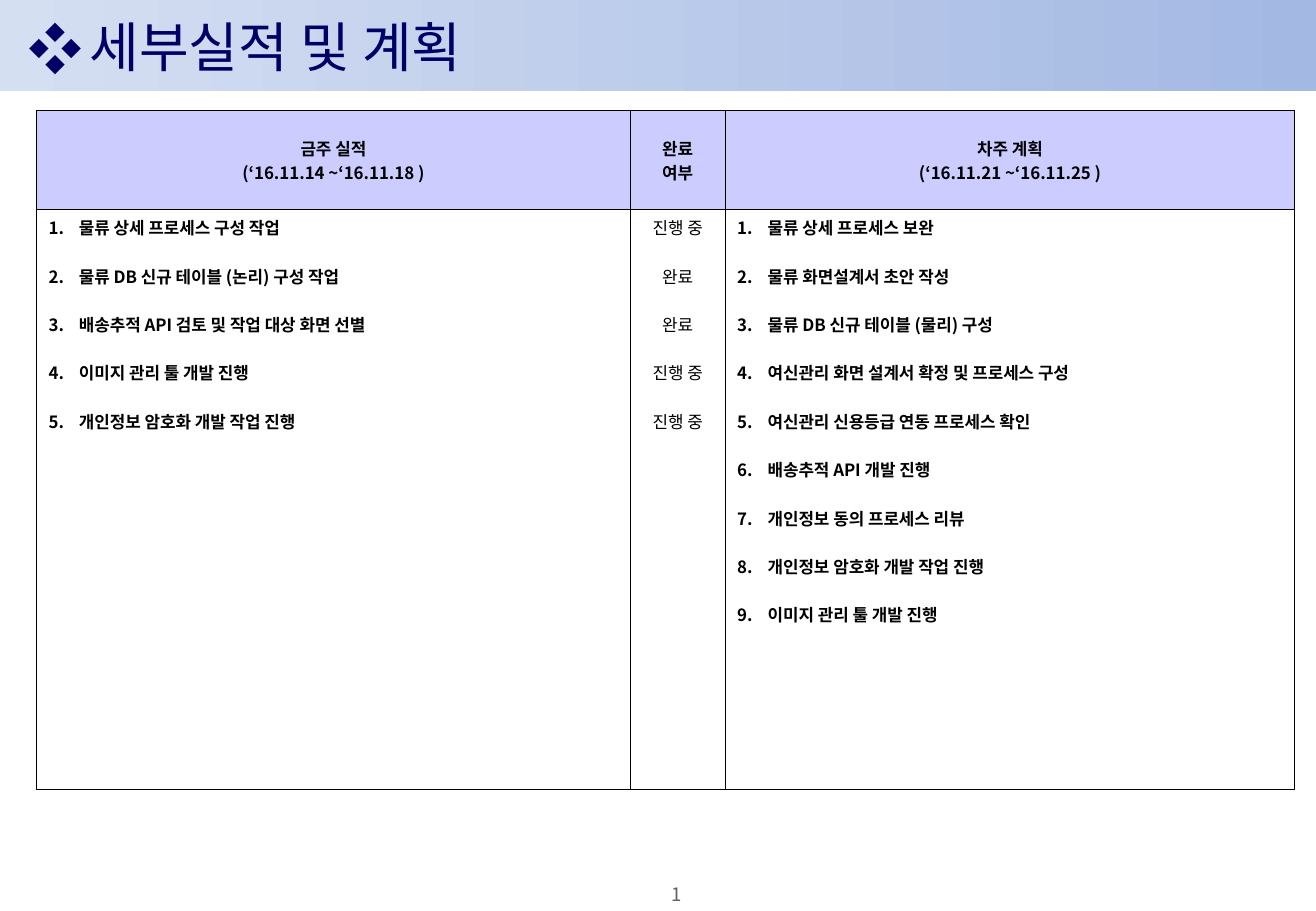
from dataclasses import dataclass

from lxml.etree import SubElement
from pptx import Presentation
from pptx.dml.color import RGBColor
from pptx.enum.shapes import MSO_SHAPE
from pptx.enum.text import MSO_ANCHOR, PP_ALIGN
from pptx.oxml.ns import qn
from pptx.util import Pt


@dataclass(frozen=True)
class Theme:
    font: str = "Noto Sans CJK KR"
    band_start: str = "D5DFF2"
    band_end: str = "A3B8E3"
    title: str = "000066"
    header: str = "CCCCFF"
    text: str = "000000"
    border: str = "000000"
    footer: str = "5F5F5F"
    title_size: float = 32
    body_size: float = 10
    footer_size: float = 11
    border_width: float = 0.5


THEME = Theme()

HEADERS = [
    ["금주 실적", "(‘16.11.14 ~‘16.11.18 )"],
    ["완료", "여부"],
    ["차주 계획", "(‘16.11.21 ~‘16.11.25 )"],
]
THIS_WEEK = [
    ("물류 상세 프로세스 구성 작업", "진행 중"),
    ("물류 DB 신규 테이블 (논리) 구성 작업", "완료"),
    ("배송추적 API 검토 및 작업 대상 화면 선별", "완료"),
    ("이미지 관리 툴 개발 진행", "진행 중"),
    ("개인정보 암호화 개발 작업 진행", "진행 중"),
]
NEXT_WEEK = [
    "물류 상세 프로세스 보완",
    "물류 화면설계서 초안 작성",
    "물류 DB 신규 테이블 (물리) 구성",
    "여신관리 화면 설계서 확정 및 프로세스 구성",
    "여신관리 신용등급 연동 프로세스 확인",
    "배송추적 API 개발 진행",
    "개인정보 동의 프로세스 리뷰",
    "개인정보 암호화 개발 작업 진행",
    "이미지 관리 툴 개발 진행",
]


def color(value):
    return RGBColor.from_string(value)


def add_bullet(paragraph, indent, symbol=None):
    properties = paragraph._p.get_or_add_pPr()
    properties.set("marL", str(Pt(indent)))
    properties.set("indent", str(-Pt(indent)))
    SubElement(properties, qn("a:buFont"), typeface=THEME.font)
    if symbol:
        SubElement(properties, qn("a:buChar"), char=symbol)
    else:
        SubElement(properties, qn("a:buAutoNum"), type="arabicPeriod")


def write(frame, lines, size=THEME.body_size, ink=THEME.text, bold=False,
          align=PP_ALIGN.LEFT, gap=0, indent=0, symbol=None):
    for index, line in enumerate(lines):
        paragraph = frame.paragraphs[0] if index == 0 else frame.add_paragraph()
        paragraph.alignment = align
        if indent:
            add_bullet(paragraph, indent, symbol)
        if index and gap:
            paragraph.space_before = Pt(gap)
        run = paragraph.add_run()
        run.text = line
        run.font.name = THEME.font
        run.font.size = Pt(size)
        run.font.bold = bold
        run.font.color.rgb = color(ink)
        SubElement(run._r.get_or_add_rPr(), qn("a:ea"), typeface=THEME.font)


def add_text_box(slide, left, top, width, height):
    frame = slide.shapes.add_textbox(Pt(left), Pt(top), Pt(width), Pt(height)).text_frame
    frame.word_wrap = True
    frame.vertical_anchor = MSO_ANCHOR.MIDDLE
    return frame


def add_title_band(slide, left, top, width, height):
    band = slide.shapes.add_shape(
        MSO_SHAPE.RECTANGLE, Pt(left), Pt(top), Pt(width), Pt(height))
    band.shadow.inherit = False
    band.line.fill.background()
    band.fill.gradient()
    band.fill.gradient_angle = 0
    for stop, position, value in zip(
            band.fill.gradient_stops, (0, 1), (THEME.band_start, THEME.band_end)):
        stop.position = position
        stop.color.rgb = color(value)
    frame = add_text_box(slide, left + 10, top, 510, height)
    write(frame, ["세부실적 및 계획"], size=THEME.title_size, ink=THEME.title,
          indent=36, symbol="❖")


def add_borders(cell):
    properties = cell._tc.get_or_add_tcPr()
    for side in ("lnL", "lnR", "lnT", "lnB"):
        line = SubElement(properties, qn(f"a:{side}"), w=str(Pt(THEME.border_width)))
        fill = SubElement(line, qn("a:solidFill"))
        SubElement(fill, qn("a:srgbClr"), val=THEME.border)


def add_plan_table(slide, left, top, width, height):
    frame = slide.shapes.add_table(2, 3, Pt(left), Pt(top), Pt(width), Pt(height))
    table = frame.table
    table.first_row = False
    table.horz_banding = False
    status_width, next_width, header_height = 56.2, 337.7, 58.3
    widths = (width - status_width - next_width, status_width, next_width)
    for column, column_width in zip(table.columns, widths):
        column.width = Pt(column_width)
    for row, row_height in zip(table.rows, (header_height, height - header_height)):
        row.height = Pt(row_height)
    for cell in table.iter_cells():
        add_borders(cell)
        cell.fill.background()

    for column, lines in enumerate(HEADERS):
        cell = table.cell(0, column)
        cell.fill.solid()
        cell.fill.fore_color.rgb = color(THEME.header)
        cell.vertical_anchor = MSO_ANCHOR.MIDDLE
        write(cell.text_frame, lines, bold=True, align=PP_ALIGN.CENTER)

    tasks, statuses = zip(*THIS_WEEK)
    numbered = {"bold": True, "indent": 18}
    bodies = [
        (tasks, numbered),
        (statuses, {"align": PP_ALIGN.CENTER}),
        (NEXT_WEEK, numbered),
    ]
    for column, (lines, style) in enumerate(bodies):
        write(table.cell(1, column).text_frame, lines, gap=14.3, **style)


def add_page_number(slide, left, top, width, height):
    frame = add_text_box(slide, left, top, width, height)
    frame.margin_left = frame.margin_right = frame.margin_top = frame.margin_bottom = 0
    write(frame, ["1"], size=THEME.footer_size, ink=THEME.footer, align=PP_ALIGN.CENTER)


def main():
    presentation = Presentation()
    presentation.slide_width = Pt(780)
    presentation.slide_height = Pt(540)
    slide = presentation.slides.add_slide(presentation.slide_layouts[6])
    add_title_band(slide, 0, 0, 780, 54)
    add_plan_table(slide, 21.6, 65.7, 745.9, 402.5)
    add_page_number(slide, 367.2, 523.4, 67.7, 13)
    presentation.save("out.pptx")


if __name__ == "__main__":
    main()
